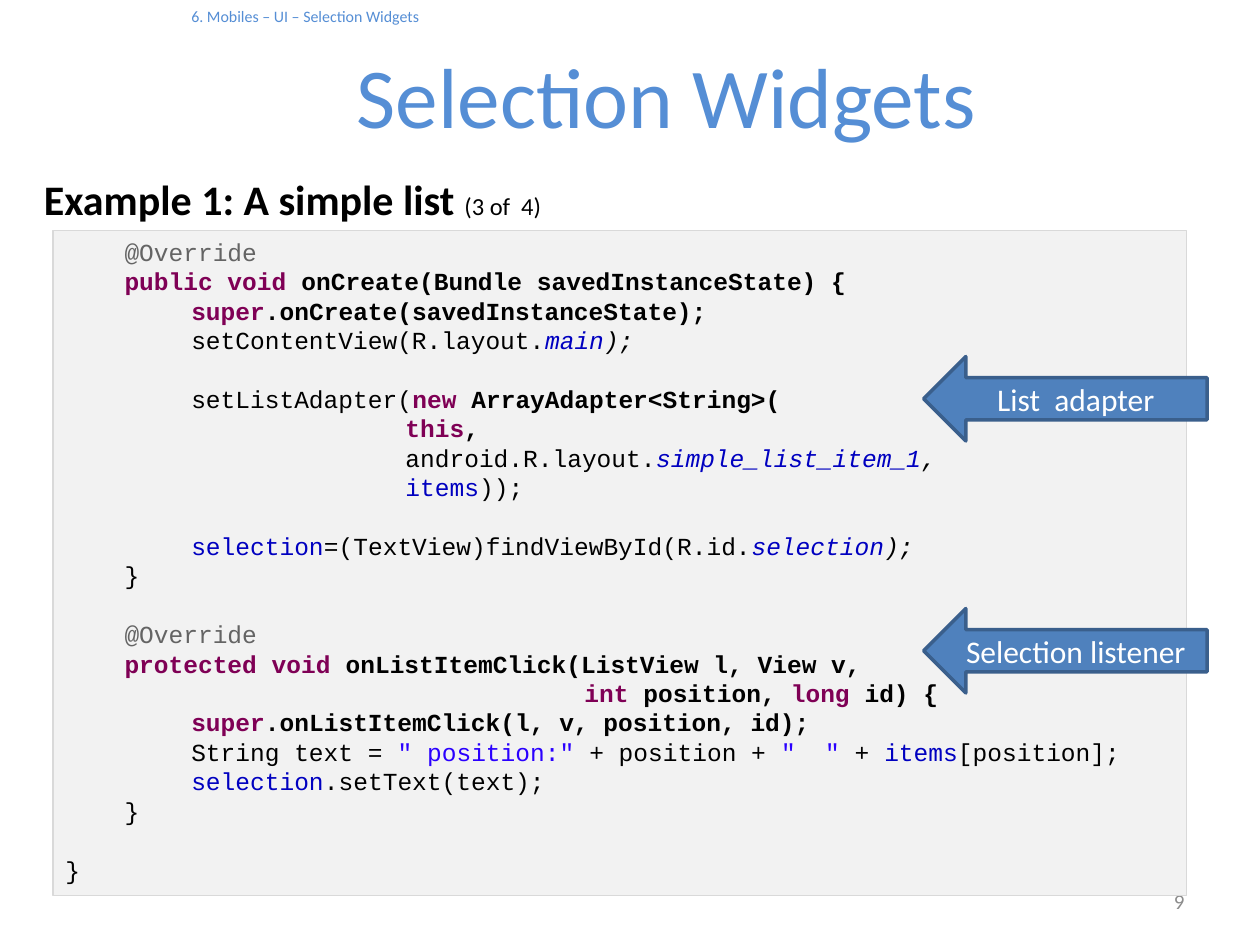
import pptx
import pptx.util
import pptx.dml.color
import pptx.enum.shapes
import pptx.enum.text

Inches = pptx.util.Inches
Pt = pptx.util.Pt
ALIGN = pptx.enum.text.PP_ALIGN
ANCHOR = pptx.enum.text.MSO_ANCHOR
SHAPES = pptx.enum.shapes.MSO_SHAPE

COLORS = {
    "heading": "558ED5", "number": "8C8C8C", "black": "000000", "white": "FFFFFF",
    "panel": "F2F2F2", "panel_line": "D9D9D9", "arrow": "4F81BD", "arrow_line": "3A5F8C",
    "note": "646464", "keyword": "7F0055", "field": "0000C0", "string": "2A00FF",
}

STYLES = {
    "plain": ("black", False, False),
    "bold": ("black", True, False),
    "italic": ("black", False, True),
    "note": ("note", False, False),
    "keyword": ("keyword", True, False),
    "field": ("field", False, False),
    "constant": ("field", False, True),
    "string": ("string", False, False),
}

MEMBER, BODY, ARGUMENT, PARAMETER = 0.47, 1, 2.7, 4.12
LINE_PITCH = 16.8

CODE = [
    (MEMBER, False, [("@Override", "note")]),
    (MEMBER, False, [("public void ", "keyword"),
                     ("onCreate(Bundle savedInstanceState) {", "bold")]),
    (BODY, False, [("super", "keyword"), (".onCreate(savedInstanceState);", "bold")]),
    (BODY, False, [("setContentView(R.layout.", "plain"), ("main", "constant"),
                   (");", "italic")]),
    (BODY, True, [("setListAdapter(", "plain"), ("new ", "keyword"),
                  ("ArrayAdapter<String>(", "bold")]),
    (ARGUMENT, False, [("this", "keyword"), (",", "bold")]),
    (ARGUMENT, False, [("android.R.layout.", "plain"), ("simple_list_item_1", "constant"),
                       (",", "italic")]),
    (ARGUMENT, False, [("items", "field"), ("));", "plain")]),
    (BODY, True, [("selection", "field"), ("=(TextView)findViewById(R.id.", "plain"),
                  ("selection", "constant"), (");", "italic")]),
    (MEMBER, False, [("}", "plain")]),
    (MEMBER, True, [("@Override", "note")]),
    (MEMBER, False, [("protected void ", "keyword"),
                     ("onListItemClick(ListView l, View v,", "bold")]),
    (PARAMETER, False, [("int", "keyword"), (" position, ", "bold"), ("long", "keyword"),
                        (" id) {", "bold")]),
    (BODY, False, [("super", "keyword"), (".onListItemClick(l, v, position, id);", "bold")]),
    (BODY, False, [("String text = ", "plain"), ('" position:"', "string"),
                   (" + position + ", "plain"), ('"  "', "string"), (" + ", "plain"),
                   ("items", "field"), ("[position];", "plain")]),
    (BODY, False, [("selection", "field"), (".setText(text);", "plain")]),
    (MEMBER, False, [("}", "plain")]),
    (0, True, [("}", "plain")]),
]


def color(name):
    return pptx.dml.color.RGBColor.from_string(COLORS[name])


def format_font(font, size, ink, name="Calibri"):
    font.name = name
    font.size = Pt(size)
    font.color.rgb = color(ink)


def fill_text(shape, text, size, ink, align=ALIGN.LEFT, anchor=ANCHOR.MIDDLE):
    frame = shape.text_frame
    frame.word_wrap = True
    frame.vertical_anchor = anchor
    para = frame.paragraphs[0]
    para.text = text
    para.alignment = align
    format_font(para.font, size, ink)
    return frame


def place(shape, box):
    shape.left, shape.top, shape.width, shape.height = map(Inches, box)


def add_text(page, box, *details):
    return fill_text(page.shapes.add_textbox(*map(Inches, box)), *details)


def add_shape(page, kind, box, fill, line, width):
    shape = page.shapes.add_shape(kind, *map(Inches, box))
    shape.shadow.inherit = False
    shape.fill.solid()
    shape.fill.fore_color.rgb = color(fill)
    shape.line.color.rgb = color(line)
    shape.line.width = Pt(width)
    return shape


def add_header(page, box):
    left, top, width, height = box
    section = add_text(page, (left + 0.63, top, 4, 0.2),
                       "6. Mobiles – UI – Selection Widgets", 9.1, "heading",
                       ALIGN.LEFT, ANCHOR.TOP)
    section.margin_top = section.margin_bottom = 0
    title = page.shapes.title
    place(title, (left, top + 0.29, width, height - 0.29))
    frame = fill_text(title, "Selection Widgets", 48.7, "heading", ALIGN.CENTER)
    frame.margin_top = frame.margin_bottom = 0


def add_example_heading(page, box):
    frame = add_text(page, box, "", 24, "black", ALIGN.LEFT, ANCHOR.TOP)
    para = frame.paragraphs[0]
    for text, size, bold in (("Example 1: A simple list ", 24, True), ("(3 of  4)", 14, False)):
        span = para.add_run()
        span.text = text
        span.font.size = Pt(size)
        span.font.bold = bold


def add_code(page, box):
    panel = add_shape(page, SHAPES.RECTANGLE, box, "panel", "panel_line", 0.75)
    frame = panel.text_frame
    frame.word_wrap = True
    frame.vertical_anchor = ANCHOR.TOP
    for index, (indent, gap, spans) in enumerate(CODE):
        para = frame.add_paragraph() if index else frame.paragraphs[0]
        para.alignment = ALIGN.LEFT
        para.line_spacing = Pt(LINE_PITCH)
        para.space_before = Pt(LINE_PITCH if gap else 0)
        para._p.get_or_add_pPr().set("marL", str(Inches(indent)))
        para.font.name = "Courier New"
        para.font.size = Pt(14)
        for text, style in spans:
            ink, bold, italic = STYLES[style]
            span = para.add_run()
            span.text = text
            span.font.color.rgb = color(ink)
            span.font.bold = bold
            span.font.italic = italic


def add_callout(page, box, label):
    arrow = add_shape(page, SHAPES.LEFT_ARROW, box, "arrow", "arrow_line", 2)
    fill_text(arrow, label, 18, "white", ALIGN.CENTER)


def main():
    deck = pptx.Presentation()
    deck.slide_width, deck.slide_height = Inches(10), Inches(7.5)
    page = deck.slides.add_slide(deck.slide_layouts[5])
    add_header(page, (0.79, 0.05, 9, 1.11))
    add_text(page, (7.17, 6.95, 2.33, 0.4), "9", 12, "number", ALIGN.RIGHT)
    add_example_heading(page, (0.25, 1.33, 9.33, 0.51))
    add_code(page, (0.42, 1.83, 9, 5.28))
    for top, label in ((4.83, "Selection listener"), (2.83, "List  adapter")):
        add_callout(page, (7.33, top, 2.25, 0.67), label)
    deck.save("out.pptx")


if __name__ == "__main__":
    main()
